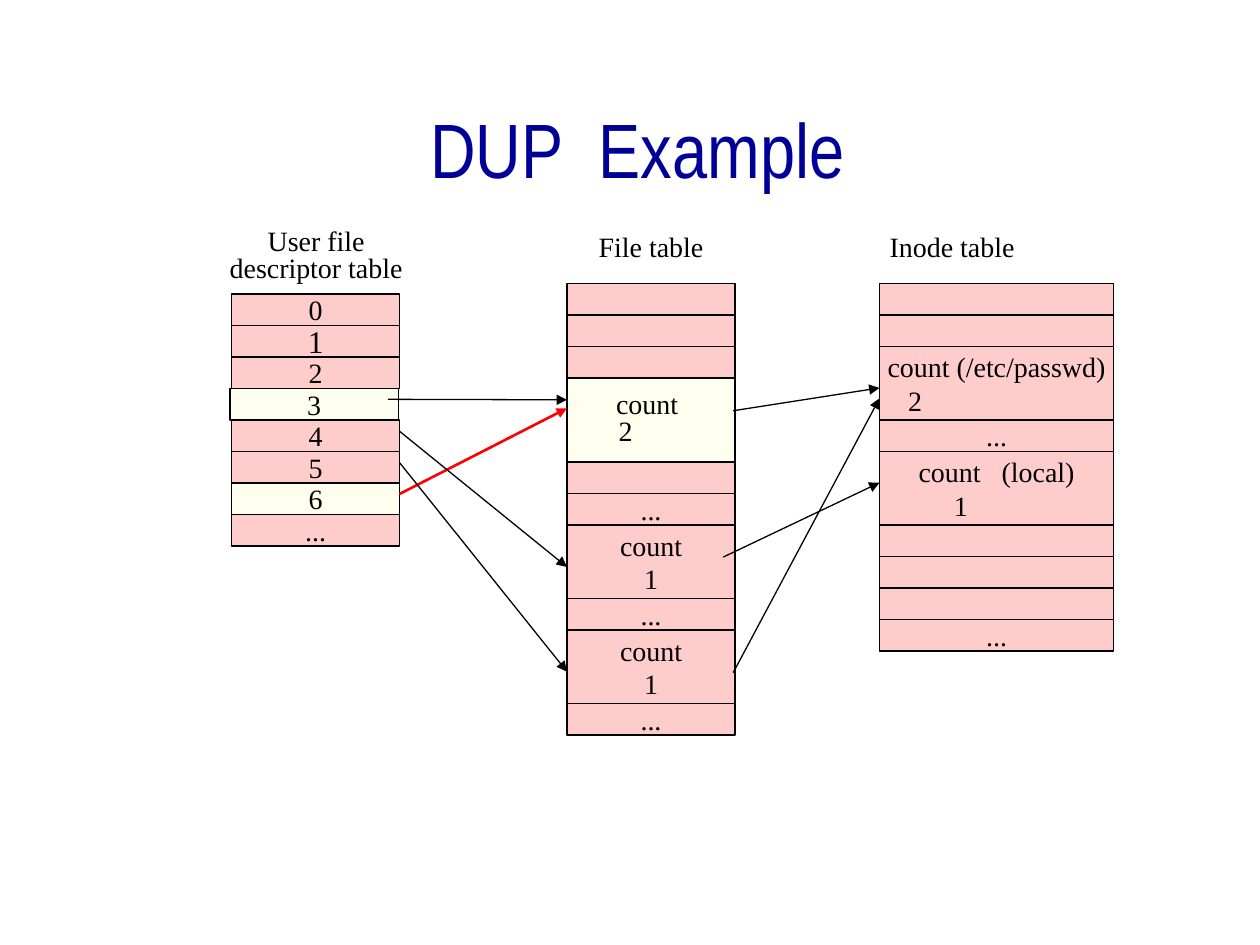
from dataclasses import dataclass

from lxml import etree
from pptx import Presentation, util as u
from pptx.dml.color import RGBColor
from pptx.enum import shapes, text
from pptx.oxml import ns


@dataclass(frozen=True)
class Theme:
    pink: str = "FFCCCC"
    cream: str = "FFFFEF"
    ink: str = "000000"
    red: str = "FF0000"
    navy: str = "000099"
    body_font: str = "Times New Roman"
    title_font: str = "Arial Narrow"
    body: float = 16
    large: float = 18
    title: float = 44
    thin: float = 0.75
    thick: float = 1.5


@dataclass(frozen=True)
class Line:
    text: str
    indent: float = 0  # cm from the left edge; 0 means centred
    gap: float = 0  # extra points after the first space


@dataclass(frozen=True)
class Row:
    lines: tuple[Line, ...] = ()
    units: int = 3
    fill: str = Theme.pink
    size: float = Theme.body
    shift: float = 0


@dataclass(frozen=True)
class Column:
    left: float
    width: float
    top_units: int
    rows: tuple[Row, ...]


@dataclass(frozen=True)
class Heading:
    lines: tuple[Line, ...]
    left: float
    width: float
    height: float
    spacing: float = 1.0


@dataclass(frozen=True)
class Arrow:
    start: tuple[float, float]
    end: tuple[float, float]
    color: str = Theme.ink
    width: float = Theme.thin


THEME = Theme()
UNIT = u.Cm(2.54) / 12  # every row height is a multiple of this

# Rows that repeat
EMPTY = Row()
DOTS = Row((Line("..."),))
COUNT_ONE = Row((Line("count"), Line("1")), units=7)


def number(value: int, **options) -> Row:
    return Row((Line(str(value)),), **options)


COLUMNS = (
    Column(4.67, 3.39, 28, (
        number(0), number(1, size=THEME.large), number(2),
        number(3, fill=THEME.cream, shift=-0.03),
        number(4), number(5), number(6, fill=THEME.cream), DOTS)),
    Column(11.43, 3.39, 27, (
        EMPTY, EMPTY, EMPTY,
        Row((Line("count", indent=0.99), Line("2", indent=1.04)), 8, THEME.cream),
        EMPTY, DOTS, COUNT_ONE, DOTS, COUNT_ONE, DOTS)),
    Column(17.73, 4.72, 27, (
        EMPTY, EMPTY,
        Row((Line("count (/etc/passwd)"), Line("2", indent=0.58)), 7),
        DOTS,
        Row((Line("count (local)", gap=8), Line("1", indent=1.5)), 7),
        EMPTY, EMPTY, EMPTY, DOTS)),
)
HEADINGS = (
    Heading((Line("User file"), Line("descriptor table")), 4.24, 4.27, 1.06, 0.8),
    Heading((Line("File table"),), 11.43, 3.39, 0.64),
    Heading((Line("Inode table"),), 17.5, 3.39, 0.64),
)
ARROWS = (
    Arrow((7.82, 8.05), (11.43, 8.06)),
    Arrow((8.05, 9.96), (11.43, 8.23), THEME.red, THEME.thick),
    Arrow((14.78, 13.56), (17.73, 8.03)),
    Arrow((14.78, 8.28), (17.73, 7.82)),
    Arrow((14.58, 11.23), (17.73, 9.73)),
    Arrow((8.05, 9.32), (11.43, 13.54)),
    Arrow((8.05, 8.69), (11.43, 11.43)),
)


def apply(target, values: dict) -> None:
    for name, value in values.items():
        setattr(target, name, value)


def write(frame, lines: tuple[Line, ...], size: float = THEME.body,
          font: str = THEME.body_font, color: str = THEME.ink,
          spacing: float = 1.0) -> None:
    apply(frame, dict(word_wrap=True, auto_size=text.MSO_AUTO_SIZE.NONE,
                      vertical_anchor=text.MSO_ANCHOR.MIDDLE, margin_left=0,
                      margin_right=0, margin_top=0, margin_bottom=0))
    for index, line in enumerate(lines):
        paragraph = frame.add_paragraph() if index else frame.paragraphs[0]
        alignment = text.PP_ALIGN.LEFT if line.indent else text.PP_ALIGN.CENTER
        apply(paragraph, dict(alignment=alignment, line_spacing=spacing,
                              space_before=u.Pt(0)))
        if line.indent:
            paragraph._p.get_or_add_pPr().set("marL", str(u.Cm(line.indent)))
        for piece in line.text.partition(" ") if line.gap else (line.text,):
            run = paragraph.add_run()
            run.text = piece
            apply(run.font, dict(size=u.Pt(size), name=font, bold=False))
            run.font.color.rgb = RGBColor.from_string(color)
            if piece == " ":
                run._r.get_or_add_rPr().set("spc", str(int(line.gap * 100)))


def draw_column(slide, column: Column) -> None:
    top = column.top_units
    for row in column.rows:
        shape = slide.shapes.add_shape(
            shapes.MSO_SHAPE.RECTANGLE, u.Cm(column.left + row.shift),
            round(top * UNIT), u.Cm(column.width), round(row.units * UNIT))
        shape.shadow.inherit = False
        shape.fill.solid()
        shape.fill.fore_color.rgb = RGBColor.from_string(row.fill)
        shape.line.color.rgb = RGBColor.from_string(THEME.ink)
        shape.line.width = u.Pt(THEME.thin)
        if row.lines:
            spacing = 0.8 if row.units == 8 else 1.0
            write(shape.text_frame, row.lines, row.size, spacing=spacing)
        top += row.units


def draw_heading(slide, heading: Heading) -> None:
    box = slide.shapes.add_textbox(u.Cm(heading.left), u.Cm(4.65),
                                   u.Cm(heading.width), u.Cm(heading.height))
    write(box.text_frame, heading.lines, spacing=heading.spacing)


def draw_arrow(slide, arrow: Arrow) -> None:
    points = [u.Cm(value) for value in arrow.start + arrow.end]
    connector = slide.shapes.add_connector(shapes.MSO_CONNECTOR.STRAIGHT, *points)
    connector.line.color.rgb = RGBColor.from_string(arrow.color)
    connector.line.width = u.Pt(arrow.width)
    etree.SubElement(connector.line._get_or_add_ln(), ns.qn("a:tailEnd"), type="triangle")
    etree.SubElement(connector._element.spPr, ns.qn("a:effectLst"))


def main() -> None:
    presentation = Presentation()
    apply(presentation, dict(slide_width=u.Cm(25.4), slide_height=u.Cm(19.05)))
    slide = presentation.slides.add_slide(presentation.slide_layouts[5])

    # Title
    title = slide.shapes.title
    apply(title, dict(left=u.Cm(2.06), top=u.Cm(1.7),
                      width=u.Cm(21.59), height=u.Cm(2.54)))
    write(title.text_frame, (Line("DUP Example", gap=10),), THEME.title,
          THEME.title_font, THEME.navy)

    # Tables, their headings, and the references between them
    for column in COLUMNS:
        draw_column(slide, column)
    for heading in HEADINGS:
        draw_heading(slide, heading)
    for arrow in ARROWS:
        draw_arrow(slide, arrow)

    presentation.save("out.pptx")


if __name__ == "__main__":
    main()
